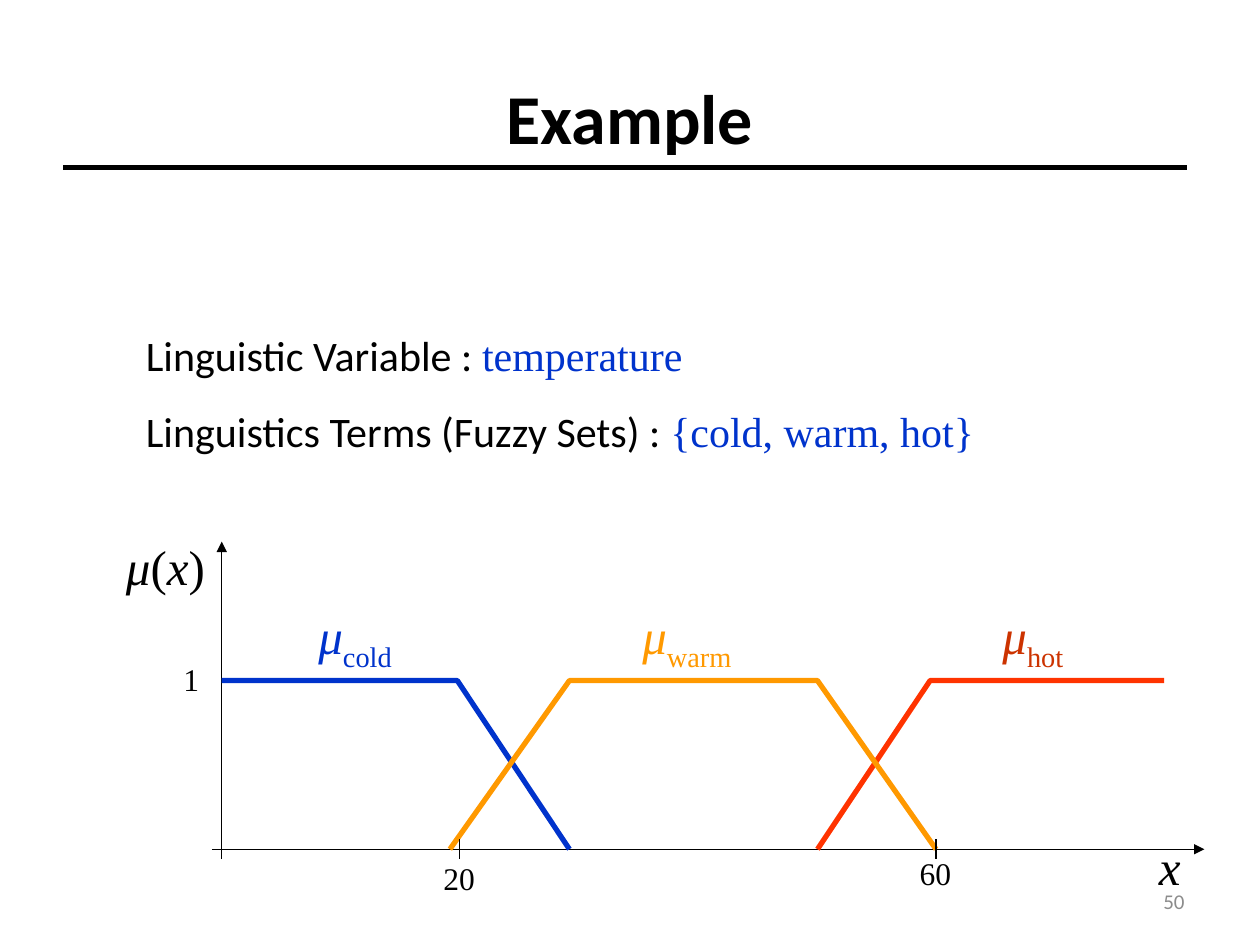
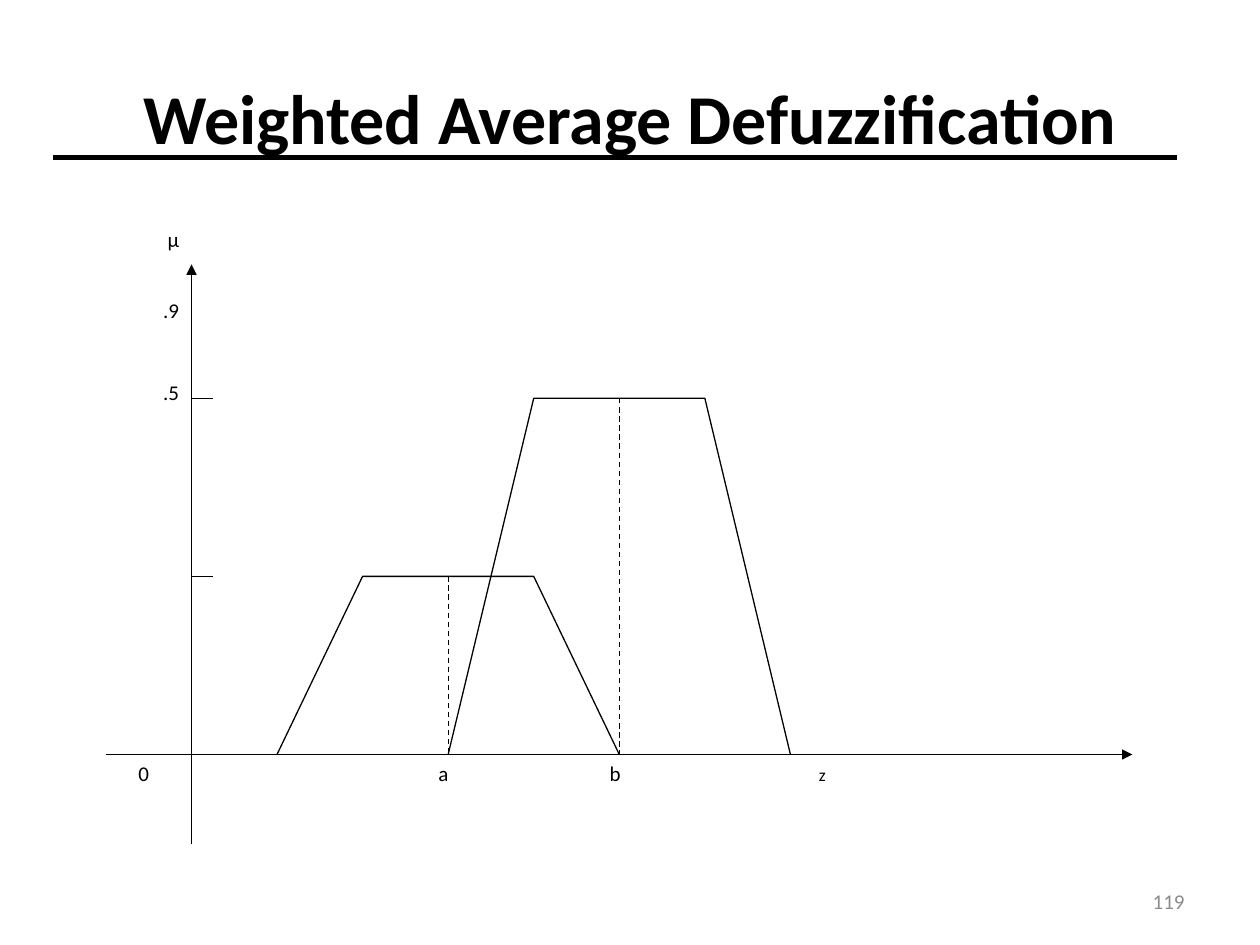
from pptx import Presentation
from pptx.dml.color import RGBColor
from pptx.enum.dml import MSO_LINE
from pptx.enum.shapes import MSO_CONNECTOR
from pptx.enum.text import MSO_ANCHOR, PP_ALIGN
from pptx.oxml.ns import qn
from pptx.util import Cm, Pt
from lxml import etree

BLACK = RGBColor(0x00, 0x00, 0x00)
GRAY = RGBColor(0x8C, 0x8C, 0x8C)
BLUE = RGBColor(0x00, 0x33, 0xCC)
AMBER = RGBColor(0xFF, 0x99, 0x00)
RED = RGBColor(0xFF, 0x33, 0x00)
BRICK = RGBColor(0xCC, 0x33, 0x00)
SANS = "Calibri"
SERIF = "Times New Roman"
LEFT, MID, RIGHT = PP_ALIGN.LEFT, PP_ALIGN.CENTER, PP_ALIGN.RIGHT
TOP, CENTER = MSO_ANCHOR.TOP, MSO_ANCHOR.MIDDLE
DASH = MSO_LINE.DASH
STRAIGHT = MSO_CONNECTOR.STRAIGHT


def write(para, text, size=12, font=SANS, color=BLACK, bold=False,
          italic=False, base=0):
    run = para.add_run()
    run.text = text
    run.font.size = Pt(size)
    run.font.name = font
    run.font.color.rgb = color
    run.font.bold = bold
    run.font.italic = italic
    if base:
        run._r.get_or_add_rPr().set("baseline", str(base * 1000))


class Deck:
    """Hold the shared style and draw on the current slide."""

    def __init__(self):
        self.prs = Presentation()
        self.prs.slide_width = Cm(25.4)
        self.prs.slide_height = Cm(19.05)

    def page(self, title, number, rule):
        layout = self.prs.slide_layouts[6]
        self.shapes = self.prs.slides.add_slide(layout).shapes
        self.label(1.27, 0.76, title, width=22.86, height=3.18,
                   align=MID, anchor=CENTER, size=40, bold=True)
        left, y = rule
        self.line(left, y, left + 22.65, y, width=3)
        self.label(18.21, 17.65, number, width=5.92, height=1.02,
                   align=RIGHT, anchor=CENTER, color=GRAY)

    def box(self, left, top, width, height, anchor=TOP):
        frame = self.shapes.add_textbox(
            Cm(left), Cm(top), Cm(width), Cm(height)).text_frame
        frame.word_wrap = True
        frame.vertical_anchor = anchor
        return frame

    def label(self, left, top, text, width=3.5, height=0.76, align=LEFT,
              anchor=TOP, **style):
        para = self.box(left, top, width, height, anchor).paragraphs[0]
        para.alignment = align
        write(para, text, **style)
        return para

    def line(self, x1, y1, x2, y2, width=0.75, dash=None, arrow=False):
        link = self.shapes.add_connector(
            STRAIGHT, Cm(x1), Cm(y1), Cm(x2), Cm(y2))
        link.line.color.rgb = BLACK
        link.line.width = Pt(width)
        if dash:
            link.line.dash_style = dash
        if arrow:
            tip = etree.SubElement(link.line._get_or_add_ln(), qn("a:tailEnd"))
            tip.set("type", "triangle")
        etree.SubElement(link._element.spPr, qn("a:effectLst"))

    def curve(self, points, color=BLACK, width=0.75):
        start, *rest = [(Cm(x), Cm(y)) for x, y in points]
        path = self.shapes.build_freeform(*start)
        path.add_line_segments(rest, close=False)
        shape = path.convert_to_shape()
        shape.shadow.inherit = False
        shape.fill.background()
        shape.line.color.rgb = color
        shape.line.width = Pt(width)


def draw_sets(deck):
    deck.page("Example", "50", (1.27, 3.38))
    frame = deck.box(2.69, 6.02, 20, 3.3)
    terms = [("Linguistic Variable : ", "temperature"),
             ("Linguistics Terms (Fuzzy Sets) : ", "{cold, warm, hot}")]
    for i, (name, value) in enumerate(terms):
        para = frame.add_paragraph() if i else frame.paragraphs[0]
        para.line_spacing = 1.5
        write(para, name, size=24)
        write(para, value, size=24, font=SERIF, color=BLUE)

    zero, one, base = 4.47, 13.72, 17.12
    big = {"size": 28, "font": SERIF}
    para = deck.label(2.29, 10.69, "μ", italic=True, **big)
    for text, slant in [("(", False), ("x", True), (")", False)]:
        write(para, text, italic=slant, **big)

    names = [("cold", 6.17, BLUE), ("warm", 12.7, AMBER), ("hot", 19.96, BRICK)]
    for name, left, color in names:
        para = deck.label(left, 12.09, "μ", italic=True, color=color, **big)
        write(para, name, color=color, base=-25, **big)

    deck.line(4.27, base, 24.28, base, arrow=True)
    deck.line(zero, base + 0.2, zero, 10.92, arrow=True)
    deck.curve([(zero, one), (9.22, one), (11.48, base)], BLUE, 3)
    deck.curve([(23.47, one), (18.75, one), (16.48, base)], RED, 3)
    deck.curve([(9.07, base), (11.48, one), (16.48, one), (18.87, base)],
               AMBER, 3)
    for x in (zero, 9.27, 18.87):
        deck.line(x, base - 0.2, x, base + 0.2)
    marks = [("20", 8.69, 17.2), ("60", 18.29, 17.09), ("1", 3.45, 13.18)]
    for text, left, top in marks:
        deck.label(left, top, text, width=1.5, size=18, font=SERIF)
    deck.label(23.11, 16.74, "x", width=1.5, italic=True, **big)


def draw_mean(deck):
    deck.page("Weighted Average Defuzzification", "119", (1.07, 3.18))
    zero, base, step, rise = 3.86, 15.21, 1.725, 3.59
    deck.line(zero, 17.02, zero, 5.33, arrow=True)
    deck.line(2.13, base, 22.83, base, arrow=True)
    sets = [((1, 2, 4, 5), 1, 3), ((3, 4, 6, 7), 2, 5)]
    for feet, level, peak in sets:
        top = base - level * rise
        xs = [zero + step * n for n in feet]
        deck.curve(zip(xs, (base, top, top, base)))
        mean = zero + step * peak
        deck.line(mean, top, mean, base, dash=DASH)
        deck.line(zero, top, zero + 0.43, top)
    for text, left in [("0", 2.54), ("a", 8.59), ("b", 12.04)]:
        deck.label(left, base, text, width=1)
    deck.label(16.26, base + 0.07, "z", width=1, size=10)
    for text, top in [("μ", 4.45), (".9", 5.88), (".5", 7.52)]:
        deck.label(1.27, top, text, width=2.59, align=RIGHT)


def main():
    deck = Deck()
    draw_sets(deck)
    draw_mean(deck)
    deck.prs.save("out.pptx")


if __name__ == "__main__":
    main()
